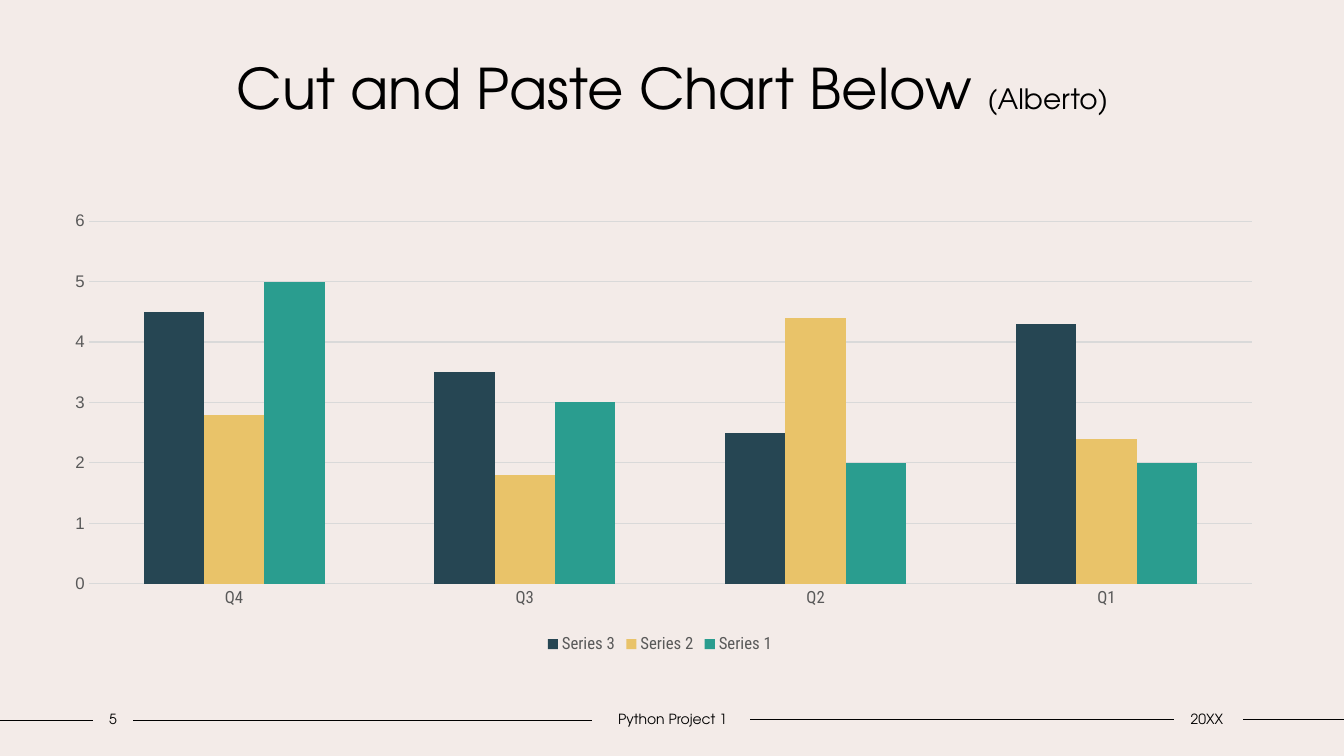
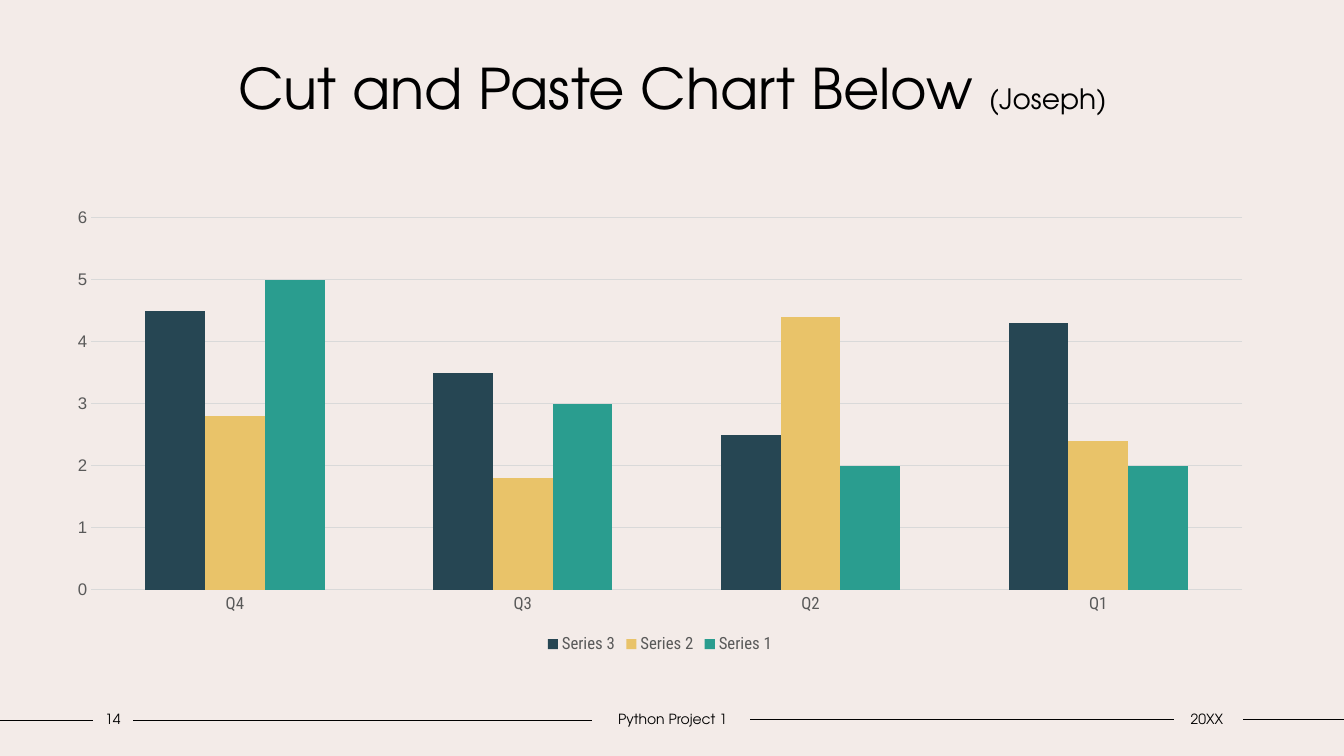
from lxml.etree import SubElement
from pptx import Presentation
from pptx.chart.data import CategoryChartData
from pptx.dml.color import RGBColor
from pptx.enum.chart import XL_CHART_TYPE, XL_LEGEND_POSITION, XL_TICK_MARK
from pptx.enum.shapes import MSO_CONNECTOR
from pptx.enum.text import MSO_ANCHOR, MSO_AUTO_SIZE, PP_ALIGN
from pptx.oxml.ns import qn
from pptx.util import Inches, Pt

QUARTERS = ["Q4", "Q3", "Q2", "Q1"]
SERIES = [
    ("Series 3", (4.5, 3.5, 2.5, 4.3), "264653"),
    ("Series 2", (2.8, 1.8, 4.4, 2.4), "E9C369"),
    ("Series 1", (5, 3, 2, 2), "2A9D8F"),
]
FOOTER_RULES = [(0, 6.9, 95.33), (9.9, 44.04, 95.33), (55.81, 87.32, 95.2), (92.5, 100, 95.2)]
SLIDES = [
    ("(Alberto)", "5", {"x": 0.029, "y": 0.047, "w": 0.959, "h": 0.791}),
    ("(Joseph)", "14", None),
]


def rgb(value):
    return RGBColor.from_string(value)


class Deck:
    """Holds the shared style and the current slide; lengths are percentages of the slide."""

    heading_font = "TeX Gyre Adventor"
    label_font = "Roboto Condensed"
    number_font = "Arial"
    paper, ink, label, rule = "F3EBE8", "000000", "595959", "D9D9D9"

    def __init__(self):
        self.prs = Presentation()
        self.prs.slide_width, self.prs.slide_height = Inches(13.33), Inches(7.5)
        background = self.prs.slide_master.background.fill
        background.solid()
        background.fore_color.rgb = rgb(self.paper)
        self.slide = None

    def x(self, share):
        return round(self.prs.slide_width * share / 100)

    def y(self, share):
        return round(self.prs.slide_height * share / 100)

    def box(self, left, top, width, height):
        return self.x(left), self.y(top), self.x(width), self.y(height)

    def style(self, font, name, size, color):
        font.name, font.size = name, Pt(size)
        font.color.rgb = rgb(color)

    def new_slide(self):
        self.slide = self.prs.slides.add_slide(self.prs.slide_layouts[5])

    def title(self, heading, author):
        title = self.slide.shapes.title
        title.left, title.top, title.width, title.height = self.box(9.38, 7.47, 81.32, 14.8)
        frame = title.text_frame
        frame.auto_size = MSO_AUTO_SIZE.NONE
        frame.vertical_anchor = MSO_ANCHOR.TOP
        paragraph = frame.paragraphs[0]
        paragraph.alignment, paragraph.line_spacing = PP_ALIGN.CENTER, 0.9
        self.style(paragraph.font, self.heading_font, 40, self.ink)
        paragraph.add_run().text = heading + " "
        name = paragraph.add_run()
        name.text, name.font.size = author, Pt(20)

    def footer_rule(self, start, end, height):
        line = self.slide.shapes.add_connector(
            MSO_CONNECTOR.STRAIGHT, self.x(start), self.y(height), self.x(end), self.y(height))
        line.line.color.rgb, line.line.width = rgb(self.ink), Pt(1)
        SubElement(line._element.spPr, qn("a:effectLst"))

    def footer_text(self, text, left, width):
        frame = self.slide.shapes.add_textbox(*self.box(left, 93.33, width, 3.6)).text_frame
        frame.word_wrap, frame.vertical_anchor = True, MSO_ANCHOR.MIDDLE
        frame.margin_left = frame.margin_right = 0
        paragraph = frame.paragraphs[0]
        paragraph.text, paragraph.alignment = text, PP_ALIGN.CENTER
        self.style(paragraph.font, self.heading_font, 10, self.ink)

    def footer(self, number):
        for rule in FOOTER_RULES:
            self.footer_rule(*rule)
        self.footer_text(number, 6.9, 3)
        self.footer_text("Python Project 1", 44.04, 12)
        self.footer_text("20XX", 87.17, 5.25)

    def column_chart(self, categories, series, plot_area):
        data = CategoryChartData()
        data.categories = categories
        for name, values, _ in series:
            data.add_series(name, values)
        chart = self.slide.shapes.add_chart(
            XL_CHART_TYPE.COLUMN_CLUSTERED, *self.box(3.98, 26.4, 90.25, 60.67), data).chart
        chart.has_title = False
        self.style(chart.font, self.label_font, 10, self.ink)
        chart.has_legend = True
        chart.legend.position = XL_LEGEND_POSITION.BOTTOM
        chart.legend.include_in_layout = False
        self.style(chart.legend.font, self.label_font, 12, self.label)
        plot = chart.plots[0]
        plot.gap_width, plot.overlap, plot.vary_by_categories = 182, 0, False
        for bars, (_, _, color) in zip(plot.series, series):
            bars.format.fill.solid()
            bars.format.fill.fore_color.rgb = rgb(color)
        self.axes(chart)
        if plot_area:
            self.place_plot(chart, plot_area)

    def axes(self, chart):
        quarters, values = chart.category_axis, chart.value_axis
        for axis, font in ((quarters, self.label_font), (values, self.number_font)):
            axis.major_tick_mark = axis.minor_tick_mark = XL_TICK_MARK.NONE
            self.style(axis.tick_labels.font, font, 12, self.label)
        values.minimum_scale, values.maximum_scale, values.major_unit = 0, 6, 1
        values.has_major_gridlines = True
        values.format.line.fill.background()
        for line in (quarters.format.line, values.major_gridlines.format.line):
            line.color.rgb, line.width = rgb(self.rule), Pt(0.75)

    def place_plot(self, chart, plot_area):
        area = chart._chartSpace.chart.plotArea
        layout = area.find(qn("c:layout"))
        if layout is None:
            layout = SubElement(area, qn("c:layout"))
            area.insert(0, layout)
        manual = SubElement(layout, qn("c:manualLayout"))
        settings = {"layoutTarget": "inner", "xMode": "edge", "yMode": "edge", **plot_area}
        for tag, value in settings.items():
            SubElement(manual, qn(f"c:{tag}")).set("val", str(value))


def main():
    deck = Deck()
    for author, number, plot_area in SLIDES:
        deck.new_slide()
        deck.title("Cut and Paste Chart Below", author)
        deck.column_chart(QUARTERS, SERIES, plot_area)
        deck.footer(number)
    deck.prs.save("out.pptx")


if __name__ == "__main__":
    main()
